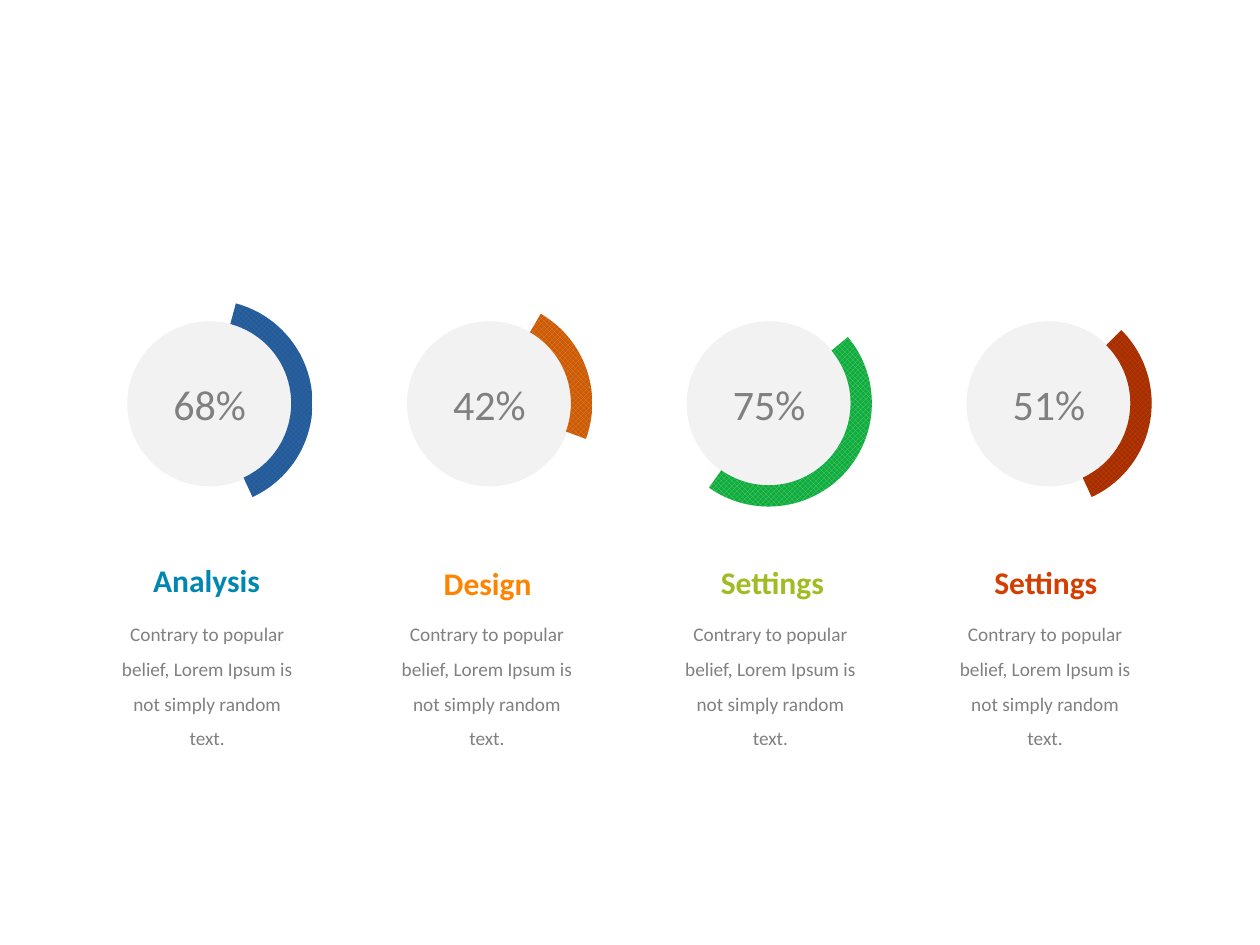
"""Build a slide of four ring gauges, each with a heading and a short text."""
from pptx import Presentation
from pptx.dml import color
from pptx.enum import dml, shapes, text
from pptx.util import Inches, Pt


def rgb(value):
    return color.RGBColor.from_string(value)


def write(shape, words, size=11, colour="808080", bold=False, spacing=None):
    frame = shape.text_frame
    frame.word_wrap = True
    paragraph = frame.paragraphs[0]
    paragraph.alignment = text.PP_ALIGN.CENTER
    paragraph.line_spacing = spacing
    run = paragraph.add_run()
    run.text = words
    run.font.name = "Calibri"
    run.font.size = Pt(size)
    run.font.bold = bold
    run.font.color.rgb = rgb(colour)


presentation = Presentation()
presentation.slide_width = Inches(10)
presentation.slide_height = Inches(7.5)
slide = presentation.slides.add_slide(presentation.slide_layouts[6])

DESCRIPTION = "Contrary to popular belief, Lorem Ipsum is not simply random text."
ARC_END = 215.18
DEGREE = 0.6
PITCH = 2.22
DISC = 1.31
RING = 1.64

gauges = [
    ("68%", 210, 74.98, "0087B1", "2F5597"),
    ("42%", 165, 135.09, "FE8301", "C55A11"),
    ("75%", 270, 50.14, "A1BB22", "00B050"),
    ("51%", 210, 104.89, "D43E01", "A12F01"),
]
captions = [
    ("Analysis", 0.97, 4.4, 1.34, 0.81),
    ("Design", 3.2, 4.43, 1.34, 3.03),
    ("Settings", 5.42, 4.42, 1.42, 5.28),
    ("Settings", 7.59, 4.42, 1.42, 7.46),
]

for index, (percent, rotation, arc_start, accent, base) in enumerate(gauges):
    offset = index * PITCH
    disc = slide.shapes.add_shape(
        shapes.MSO_SHAPE.OVAL, Inches(1.01 + offset), Inches(2.55), Inches(DISC), Inches(DISC))
    disc.fill.solid()
    disc.fill.fore_color.rgb = rgb("F2F2F2")
    disc.text_frame.vertical_anchor = text.MSO_ANCHOR.MIDDLE
    write(disc, percent, size=24)

    ring = slide.shapes.add_shape(
        shapes.MSO_SHAPE.BLOCK_ARC, Inches(0.84 + offset), Inches(2.38), Inches(RING), Inches(RING))
    ring.rotation = rotation
    ring.adjustments[0] = arc_start * DEGREE
    ring.adjustments[1] = ARC_END * DEGREE
    ring.adjustments[2] = 0.103
    ring.fill.patterned()
    ring.fill.pattern = dml.MSO_PATTERN.TRELLIS
    ring.fill.fore_color.rgb = rgb(accent)
    ring.fill.back_color.rgb = rgb(base)

    for shape in (disc, ring):
        shape.line.fill.background()
        shape.shadow.inherit = False

for (heading, left, top, width, body_left), gauge in zip(captions, gauges):
    group = slide.shapes.add_group_shape()
    body = group.shapes.add_textbox(Inches(body_left), Inches(4.8), Inches(1.67), Inches(1.21))
    write(body, DESCRIPTION, spacing=1.5)
    title = group.shapes.add_textbox(Inches(left), Inches(top), Inches(width), Inches(0.4))
    write(title, heading, size=18, colour=gauge[3], bold=True)
    for box in (body, title):
        box.text_frame.auto_size = text.MSO_AUTO_SIZE.SHAPE_TO_FIT_TEXT

presentation.save("out.pptx")
